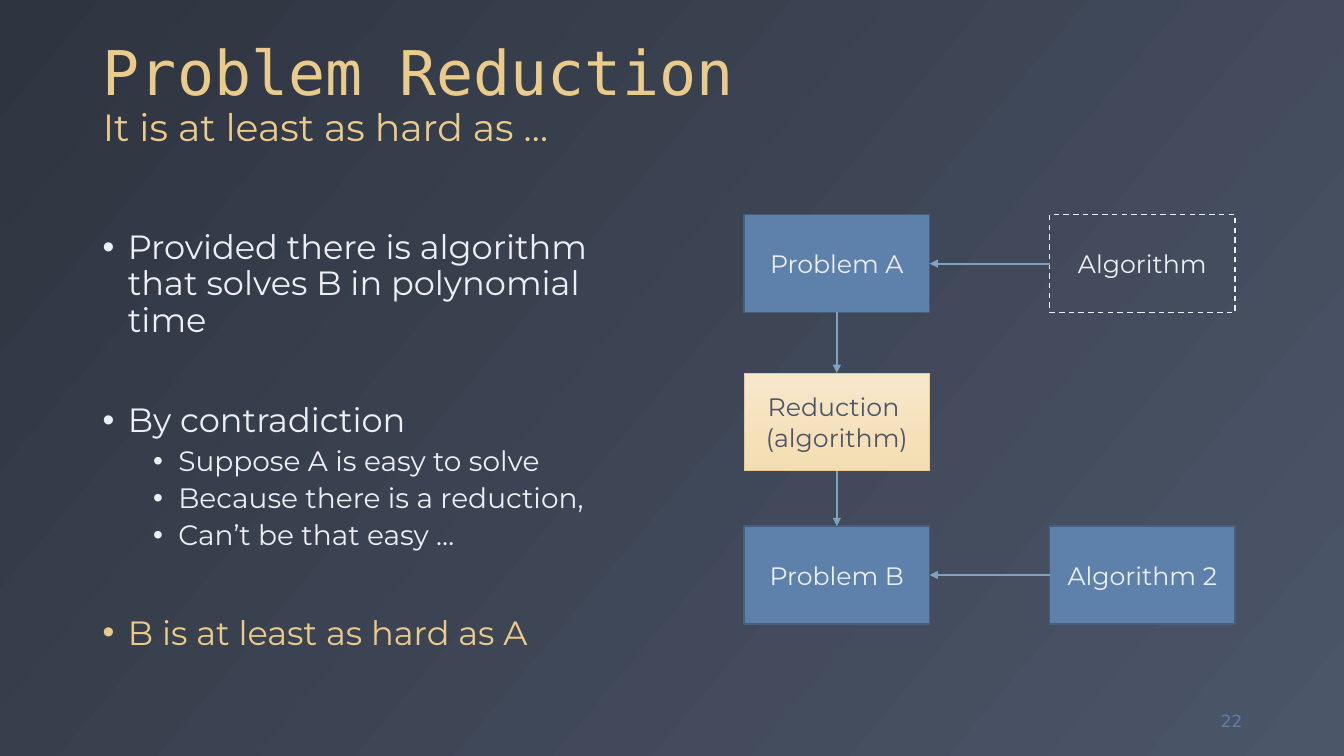
from lxml.etree import SubElement
from pptx import Presentation
from pptx.dml.color import RGBColor
from pptx.enum.dml import MSO_LINE as Dash
from pptx.enum.shapes import MSO_CONNECTOR as Conn, MSO_SHAPE as Shape
from pptx.enum.text import MSO_ANCHOR as Anchor, MSO_AUTO_SIZE as Fit, PP_ALIGN as Align
from pptx.oxml.ns import qn
from pptx.util import Inches, Pt

SANS = "Montserrat"
MONO = "DejaVu Sans Mono"
GOLD, SNOW, BLUE, SLATE = "EBCB8B", "ECEFF3", "5E81AC", "4C5669"
EDGE, ARROW = "465F7F", "81A1C1"
LEFT, RIGHT = 7.38, 10.41
TOP, MID, LOW = 2.13, 3.7, 5.22
WIDE, HIGH = 1.84, 0.97
POINTS = [
    ("Provided there is algorithm that solves B in polynomial time", 0, 0, SNOW),
    ("By contradiction", 0, 46, SNOW),
    ("Suppose A is easy to solve", 1, 5, SNOW),
    ("Because there is a reduction,", 1, 5, SNOW),
    ("Can’t be that easy …", 1, 5, SNOW),
    ("B is at least as hard as A", 0, 46, GOLD),
]


def color(code):
    """Turn a hex string into a colour."""
    return RGBColor.from_string(code)


def apply(item, **values):
    """Set each given attribute on an item."""
    for name, value in values.items():
        setattr(item, name, value)


def style(font, size, code, face=SANS):
    """Give a font its size, colour and typeface."""
    apply(font, size=Pt(size), name=face)
    font.color.rgb = color(code)


def place(item, left, top, width, height):
    """Move and size an item, in inches."""
    apply(item, left=Inches(left), top=Inches(top),
          width=Inches(width), height=Inches(height))


def blend(fill, first, last, angle):
    """Fill with a gradient of two colours."""
    fill.gradient()
    fill.gradient_angle = angle
    for stop, code in zip(fill.gradient_stops, (first, last)):
        stop.color.rgb = color(code)


def add_title(slide, head, sub):
    """Fill the title with a heading and a smaller second line."""
    title = slide.shapes.title
    place(title, 0.92, 0.18, 11.5, 1.36)
    frame = title.text_frame
    apply(frame, vertical_anchor=Anchor.BOTTOM, auto_size=Fit.NONE, word_wrap=True)
    para = frame.paragraphs[0]
    apply(para, alignment=Align.LEFT, line_spacing=0.9)
    run = para.add_run()
    run.text = head
    style(run.font, 44, GOLD, MONO)
    para.add_line_break()
    run = para.add_run()
    run.text = sub
    style(run.font, 27, GOLD)


def add_text(slide, left, top, width, height):
    """Add a wrapping text box and return its frame."""
    box = slide.shapes.add_textbox(*map(Inches, (left, top, width, height)))
    apply(box.text_frame, word_wrap=True, vertical_anchor=Anchor.MIDDLE)
    return box.text_frame


def add_list(slide, points):
    """Add the bulleted text."""
    frame = add_text(slide, 0.92, 2, 5.67, 4.76)
    for index, (text, level, gap, code) in enumerate(points):
        para = frame.add_paragraph() if index else frame.paragraphs[0]
        props = para._p.get_or_add_pPr()
        props.set("marL", str(Inches(0.25 + 0.5 * level)))
        props.set("indent", str(Inches(-0.25)))
        apply(para, text=text, level=level, line_spacing=0.9, space_before=Pt(gap))
        SubElement(props, qn("a:buFont")).set("typeface", "Arial")
        SubElement(props, qn("a:buChar")).set("char", "•")
        style(para.font, 20 if level else 24, code)
        style(para.runs[0].font, 20 if level else 24, code)


def add_box(slide, text, left, top, ink=SNOW, edge=EDGE, width=1):
    """Add a labelled box with a solid fill."""
    box = slide.shapes.add_shape(
        Shape.RECTANGLE, *map(Inches, (left, top, WIDE, HIGH)))
    box.shadow.inherit = False
    box.fill.solid()
    box.fill.fore_color.rgb = color(BLUE)
    box.line.color.rgb = color(edge)
    box.line.width = Pt(width)
    frame = box.text_frame
    apply(frame, text=text, word_wrap=True, vertical_anchor=Anchor.MIDDLE)
    for para in frame.paragraphs:
        para.alignment = Align.CENTER
        style(para.runs[0].font, 18, ink)
    return box


def add_arrow(slide, start, out, end, into):
    """Join two boxes with an arrow."""
    line = slide.shapes.add_connector(Conn.STRAIGHT, 0, 0, 0, 0)
    line.begin_connect(start, out)
    line.end_connect(end, into)
    line.line.color.rgb = color(ARROW)
    line.line.width = Pt(1.5)
    SubElement(line.line._get_or_add_ln(), qn("a:tailEnd")).set("type", "triangle")
    SubElement(line._element.spPr, qn("a:effectLst"))


def add_number(slide, text):
    """Add the slide number."""
    para = add_text(slide, 11.59, 6.95, 0.83, 0.4).paragraphs[0]
    apply(para, text=text, alignment=Align.RIGHT)
    style(para.runs[0].font, 12, BLUE, "DejaVu Sans")


def main():
    """Build and save the slide."""
    deck = Presentation()
    apply(deck, slide_width=Inches(13.33), slide_height=Inches(7.5))
    slide = deck.slides.add_slide(deck.slide_layouts[5])
    blend(slide.background.fill, "2E3440", SLATE, 320)
    add_title(slide, "Problem Reduction", "It is at least as hard as …")
    add_list(slide, POINTS)
    add_number(slide, "22")

    first = add_box(slide, "Problem A", LEFT, TOP)
    guess = add_box(slide, "Algorithm", RIGHT, TOP, edge=SNOW)
    guess.fill.background()
    guess.line.dash_style = Dash.DASH
    second = add_box(slide, "Problem B", LEFT, LOW)
    solver = add_box(slide, "Algorithm 2", RIGHT, LOW)
    bridge = add_box(slide, "Reduction \n(algorithm)", LEFT, MID, SLATE, GOLD, 0.5)
    blend(bridge.fill, "F7E7CB", "F4DDB1", 270)

    for start, end in ((guess, first), (solver, second)):
        add_arrow(slide, start, 1, end, 3)
    for start, end in ((first, bridge), (bridge, second)):
        add_arrow(slide, start, 2, end, 0)
    deck.save("out.pptx")


if __name__ == "__main__":
    main()
